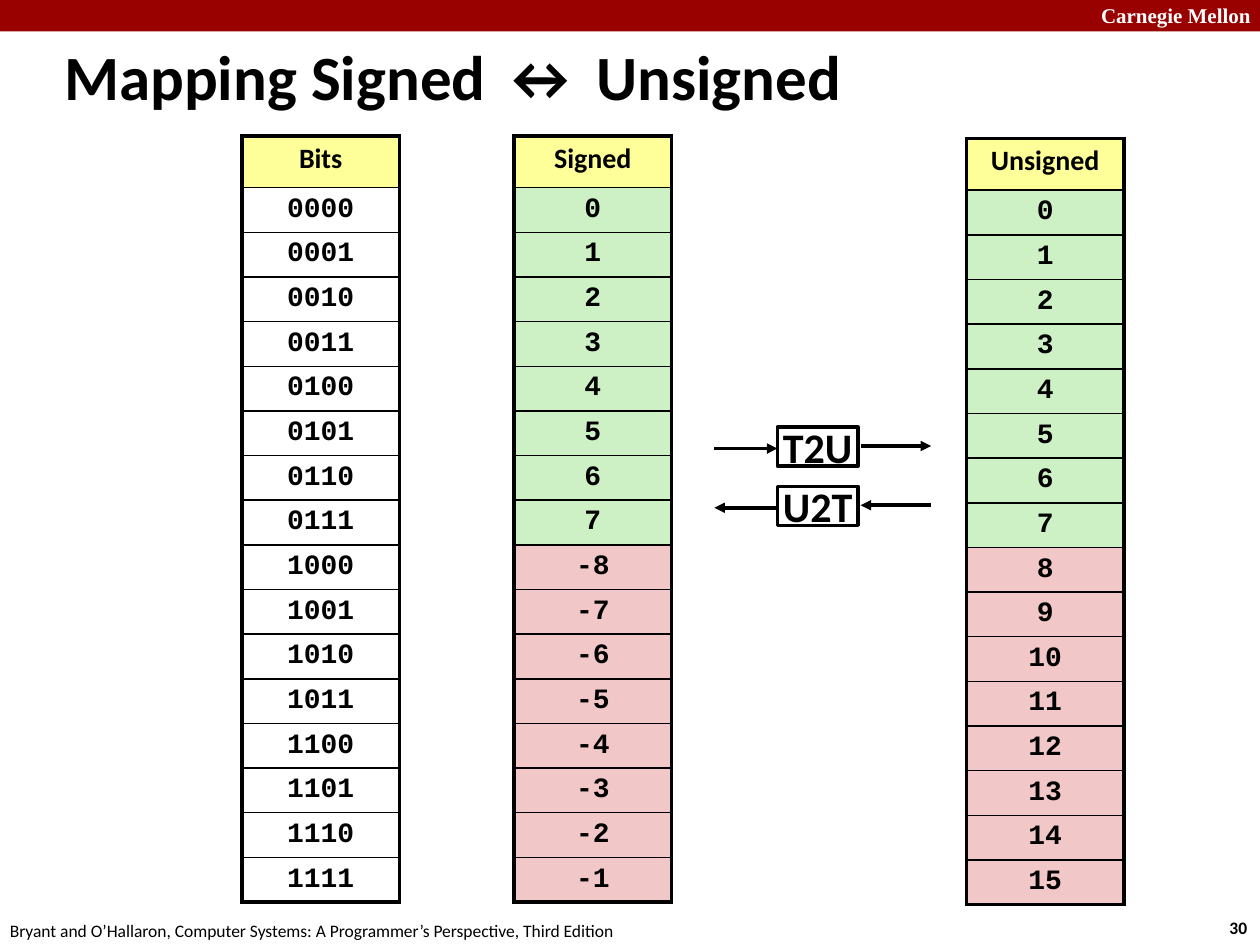
from lxml.etree import SubElement
from pptx import Presentation
from pptx.dml.color import RGBColor
from pptx.enum.shapes import MSO_CONNECTOR as Connector, MSO_SHAPE as Shape
from pptx.enum.text import MSO_ANCHOR as Anchor, PP_ALIGN as Align
from pptx.oxml import parse_xml
from pptx.oxml.ns import nsdecls, qn
from pptx.util import Inches, Pt

BLACK = RGBColor(0x00, 0x00, 0x00)
WHITE = RGBColor(0xFF, 0xFF, 0xFF)
CRIMSON = RGBColor(0x99, 0x00, 0x00)
YELLOW = RGBColor(0xFF, 0xFF, 0x99)
GREEN = RGBColor(0xCD, 0xF1, 0xC5)
PINK = RGBColor(0xF1, 0xC7, 0xC7)


class SlideBuilder:
    body_font = "Calibri"
    code_font = "Courier New"
    thick, thin = 2.25, 1
    column_width, header_height, row_height = 1.25, 0.41, 5.67 / 16

    def __init__(self, slide):
        self.slide = slide

    def style(self, p, size, bold=True, color=BLACK, font=body_font):
        p.font.size = Pt(size)
        p.font.bold = bold
        p.font.name = font
        p.font.color.rgb = color

    def text(self, text, left, top, width, height, size, wrap=False, inset=(0.1, 0.05), **style):
        box = self.slide.shapes.add_textbox(*map(Inches, (left, top, width, height)))
        tf = box.text_frame
        tf.word_wrap = wrap
        tf.margin_left = tf.margin_right = Inches(inset[0])
        tf.margin_top = tf.margin_bottom = Inches(inset[1])
        p = tf.paragraphs[0]
        p.text = text
        self.style(p, size, **style)

    def rect(self, left, top, width, height, fill, outlined=False):
        sp = self.slide.shapes.add_shape(Shape.RECTANGLE, *map(Inches, (left, top, width, height)))
        sp.shadow.inherit = False
        sp.fill.solid()
        sp.fill.fore_color.rgb = fill
        if outlined:
            sp.line.color.rgb = BLACK
            sp.line.width = Pt(2)
        else:
            sp.line.fill.background()
        return sp

    def label_box(self, text, left, top, width, height):
        tf = self.rect(left, top, width, height, WHITE, outlined=True).text_frame
        tf.word_wrap = False
        tf.vertical_anchor = Anchor.MIDDLE
        p = tf.paragraphs[0]
        p.text = text
        p.alignment = Align.CENTER
        self.style(p, 24)

    def arrow(self, start, end, y):
        line = self.slide.shapes.add_connector(
            Connector.STRAIGHT, Inches(start), Inches(y), Inches(end), Inches(y))
        line.line.color.rgb = BLACK
        line.line.width = Pt(2)
        SubElement(line.line._get_or_add_ln(), qn("a:tailEnd"), type="triangle")
        SubElement(line._element.spPr, qn("a:effectLst"))

    def borders(self, cell, top, bottom):
        widths = {"lnL": self.thick, "lnR": self.thick, "lnT": top, "lnB": bottom}
        tc_pr = cell._tc.get_or_add_tcPr()
        for i, (side, width) in enumerate(widths.items()):
            tc_pr.insert(i, parse_xml(
                f'<a:{side} {nsdecls("a")} w="{Pt(width)}"><a:solidFill>'
                f'<a:srgbClr val="{BLACK}"/></a:solidFill></a:{side}>'))

    def column(self, header, values, fills, left, top):
        texts = [header, *values]
        height = self.header_height + self.row_height * len(values)
        table = self.slide.shapes.add_table(
            len(texts), 1, *map(Inches, (left, top, self.column_width, height))).table
        table.first_row = table.horz_banding = False
        last = len(values)
        for i, (text, fill) in enumerate(zip(texts, [YELLOW, *fills])):
            table.rows[i].height = Inches(self.row_height if i else self.header_height)
            cell = table.cell(i, 0)
            cell.margin_left = cell.margin_right = Inches(0.05)
            cell.margin_top = cell.margin_bottom = Inches(0.05)
            if fill is None:
                cell.fill.background()
            else:
                cell.fill.solid()
                cell.fill.fore_color.rgb = fill
            p = cell.text_frame.paragraphs[0]
            p.text = str(text)
            p.alignment = Align.CENTER
            p.line_spacing = 0.95
            self.style(p, 16, font=self.code_font if i else self.body_font)
            self.borders(cell, self.thin if i else self.thick,
                         self.thick if i == last else self.thin)


def main():
    prs = Presentation()
    prs.slide_width, prs.slide_height = Inches(10), Inches(7.5)
    s = SlideBuilder(prs.slides.add_slide(prs.slide_layouts[6]))

    s.rect(0, 0, 10, 0.25, CRIMSON)
    s.text("Carnegie Mellon", 8.64, -0.03, 1.43, 0.3, 12, wrap=True,
           color=WHITE, font="Times New Roman")
    s.text("30", 9.66, 7.23, 0.37, 0.27, 10)
    s.text("Bryant and O’Hallaron, Computer Systems: A Programmer’s Perspective, Third Edition",
           -0.02, 7.25, 5.08, 0.27, 10, bold=False)
    s.text("Mapping Signed ↔ Unsigned", 0.44, 0.27, 7.46, 0.61, 36, inset=(0.07, 0.03))

    halves = [GREEN] * 8 + [PINK] * 8
    s.column("Signed", [*range(8), *range(-8, 0)], halves, 4.08, 1.08)
    s.column("Unsigned", range(16), halves, 7.67, 1.1)
    s.column("Bits", [f"{n:04b}" for n in range(16)], [None] * 16, 1.92, 1.08)

    spans = [(5.67, 6.17), (6.83, 7.39)]
    for label, top, rightward in [("U2T", 3.86, False), ("T2U", 3.39, True)]:
        s.label_box(label, 6.17, top, 0.64, 0.31)
        for span, drop in zip(spans, (0.17, 0.15)):
            start, end = span if rightward else reversed(span)
            s.arrow(start, end, top + drop)

    prs.save("out.pptx")


if __name__ == "__main__":
    main()
